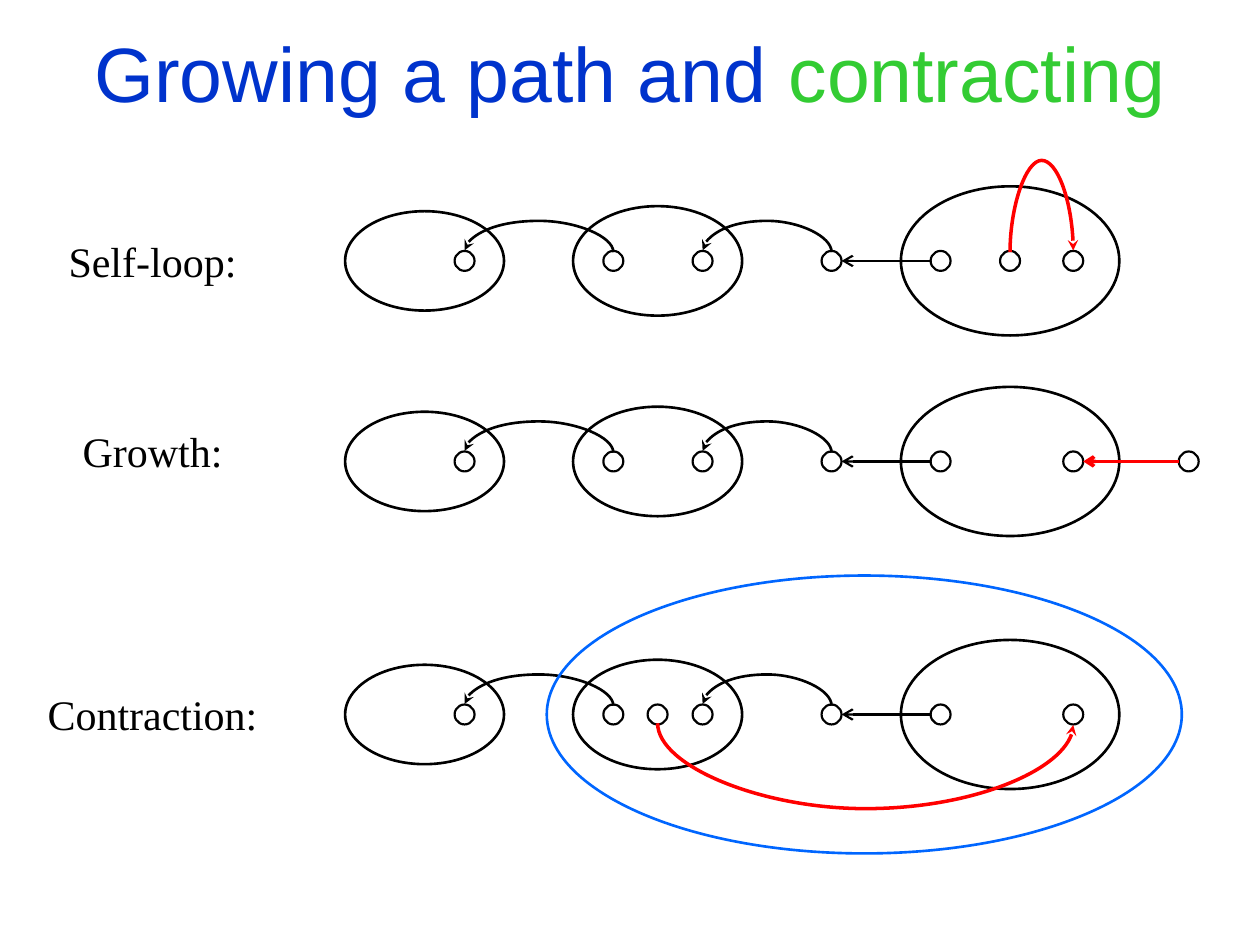
"""Build the slide on growing a path and contracting."""
import pptx
import pptx.util
import pptx.dml.color
import pptx.enum.shapes
import pptx.enum.text
import pptx.oxml
import pptx.oxml.ns

Pt = pptx.util.Pt
COLORS = {"black": "000000", "red": "FF0000", "ring": "0066FF",
          "title": "0033CC", "accent": "33CC33"}
TITLE = [("Growing a path and ", "title"), ("contracting", "accent")]
NODE = 11.4
NODE_X = {"a": 265.5, "b": 350.5, "c": 401.5, "d": 475.2, "e": 537.5,
          "middle": 375.8, "inner": 577.2, "last": 613.3, "new": 679.3}
BLOSSOMS = [(242.6, 90.8, 56.8), (375.8, 96.6, 62.6), (577.2, 124.8, 85.2)]
PATH_NODES = ["a", "b", "c", "d", "e"]
PATH_EDGES = [("d", "c", 18), ("b", "a", 18), ("e", "d", 0)]
ROWS = [
    {"label": "Self-loop:", "top": 131, "center": 149.1,
     "nodes": ["inner", "last"], "edge": ("inner", "last", 52.89), "ring": None},
    {"label": "Growth:", "top": 239.8, "center": 263.7,
     "nodes": ["last", "new"], "edge": ("new", "last", 0), "ring": None},
    {"label": "Contraction:", "top": 390.2, "center": 408.3,
     "nodes": ["middle", "last"], "edge": ("middle", "last", -49.18),
     "ring": (493.9, 362.9, 158.8)},
]


def rgb(name):
    return pptx.dml.color.RGBColor.from_string(COLORS[name])


def add_run(paragraph, text, font, size, color):
    run = paragraph.add_run()
    run.text = text
    run.font.name = font
    run.font.size = Pt(size)
    run.font.color.rgb = rgb(color)


def add_ellipse(slide, x, y, width, height, weight, color="black"):
    ellipse = slide.shapes.add_shape(
        pptx.enum.shapes.MSO_SHAPE.OVAL, Pt(x - width / 2), Pt(y - height / 2),
        Pt(width), Pt(height))
    ellipse.shadow.inherit = False
    ellipse.fill.background()
    ellipse.line.color.rgb = rgb(color)
    ellipse.line.width = Pt(weight)


def bend(edge, x1, x2, y, bulge):
    """Turn a connector into an arc that rises (or dips) by bulge from y."""
    span, depth = abs(x2 - x1), 1
    edge.left, edge.top = Pt((x1 + x2 - depth) / 2), Pt(y - span / 2)
    edge.width, edge.height = Pt(depth), Pt(span)
    frame = edge._element.spPr.find(pptx.oxml.ns.qn("a:xfrm"))
    for flip in ("flipH", "flipV"):
        frame.attrib.pop(flip, None)
    frame.set("rot", str(270 * 60000))
    if bulge < 0:
        frame.set("flipH", "1")
    if x2 < x1:
        frame.set("flipV", "1")
    geometry = edge._element.spPr.find(pptx.oxml.ns.qn("a:prstGeom"))
    guides = geometry.find(pptx.oxml.ns.qn("a:avLst"))
    guide = pptx.oxml.ns.qn("a:gd")
    guides.append(guides.makeelement(
        guide, {"name": "adj1", "fmla": f"val {round(abs(bulge) / depth * 100000)}"}))


def add_edge(slide, center, start, end, bulge, color, straight, curved):
    x1, x2 = NODE_X[start], NODE_X[end]
    kinds = pptx.enum.shapes.MSO_CONNECTOR
    if bulge:
        edge = slide.shapes.add_connector(kinds.CURVE, 0, 0, Pt(1), Pt(1))
        bend(edge, x1, x2, center + (-5.5 if bulge > 0 else 5.5), bulge)
    else:
        edge = slide.shapes.add_connector(
            kinds.STRAIGHT, Pt(x1 - NODE / 2), Pt(center), Pt(x2 + NODE / 2), Pt(center))
    edge.line.color.rgb = rgb(color)
    edge.line.width = Pt(curved if bulge else straight)
    tip = "stealth" if bulge else "arrow"
    namespace = pptx.oxml.ns.nsdecls("a")
    edge.line._get_or_add_ln().append(
        pptx.oxml.parse_xml(f'<a:tailEnd {namespace} type="{tip}"/>'))
    edge._element.spPr.append(pptx.oxml.parse_xml(f"<a:effectLst {namespace}/>"))


def add_label(slide, text, top):
    label = slide.shapes.add_textbox(Pt(7.2), Pt(top), Pt(160), Pt(36)).text_frame
    label.word_wrap = True
    paragraph = label.paragraphs[0]
    paragraph.alignment = pptx.enum.text.PP_ALIGN.CENTER
    add_run(paragraph, text, "Times New Roman", 24, "black")


def add_row(slide, row):
    center = row["center"]
    for x, width, height in BLOSSOMS:
        add_ellipse(slide, x, center, width, height, 1.5)
    for node in PATH_NODES + row["nodes"]:
        add_ellipse(slide, NODE_X[node], center, NODE, NODE, 1.25)
    for edge in PATH_EDGES:
        add_edge(slide, center, *edge, "black", 1.25, 1.5)
    add_edge(slide, center, *row["edge"], "red", 2, 2)
    if row["ring"]:
        x, width, height = row["ring"]
        add_ellipse(slide, x, center, width, height, 1.5, "ring")
    add_label(slide, row["label"], row["top"])


def main():
    deck = pptx.Presentation()
    deck.slide_width, deck.slide_height = Pt(720), Pt(540)
    slide = deck.slides.add_slide(deck.slide_layouts[5])
    title = slide.shapes.title
    title.left, title.top, title.width, title.height = Pt(0), Pt(10.8), Pt(720), Pt(60.5)
    title.text_frame.vertical_anchor = pptx.enum.text.MSO_ANCHOR.MIDDLE
    title.text_frame.auto_size = pptx.enum.text.MSO_AUTO_SIZE.NONE
    paragraph = title.text_frame.paragraphs[0]
    paragraph.alignment = pptx.enum.text.PP_ALIGN.CENTER
    for text, color in TITLE:
        add_run(paragraph, text, "Arial", 44, color)
    for row in ROWS:
        add_row(slide, row)
    deck.save("out.pptx")


if __name__ == "__main__":
    main()
